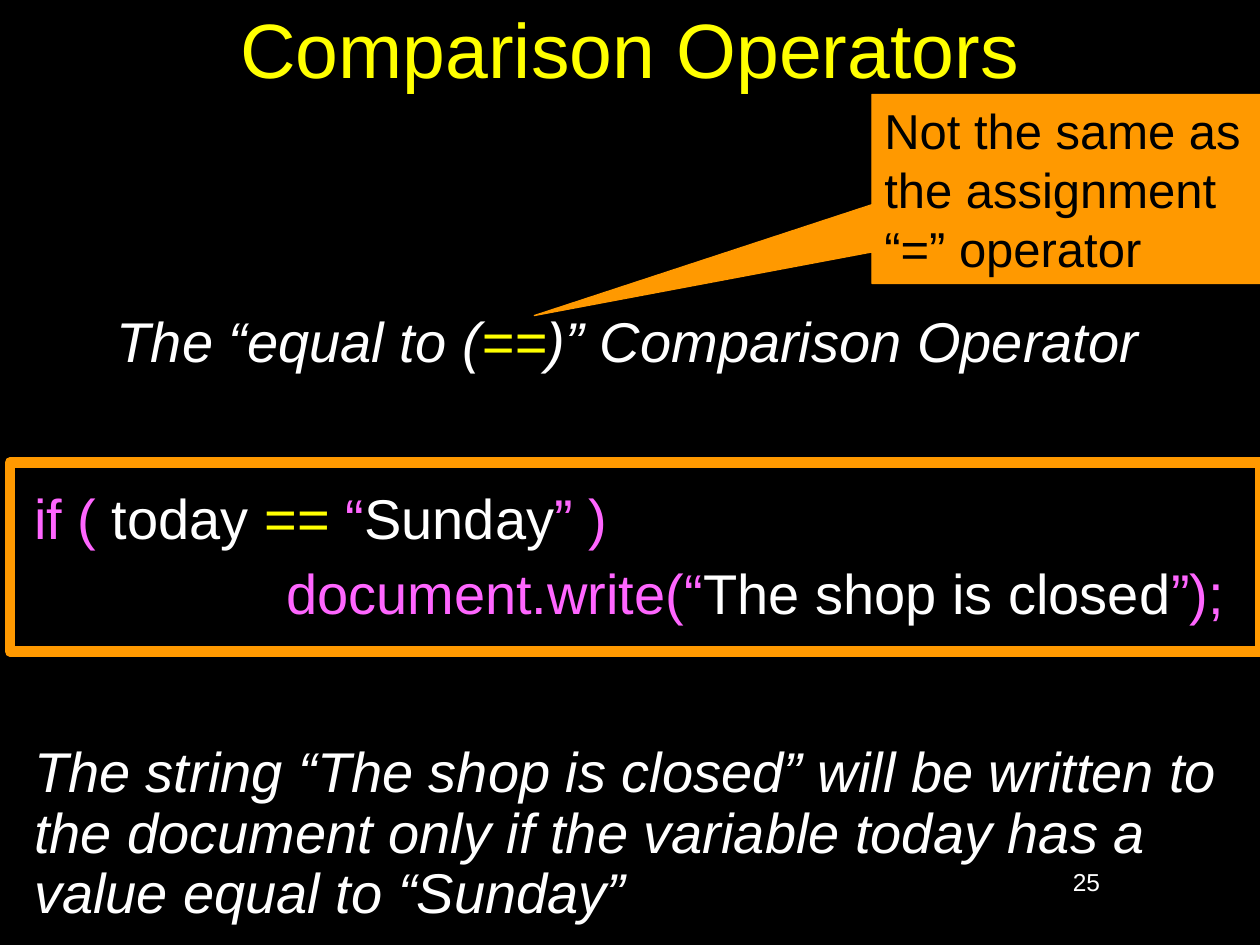
from pptx import Presentation
from pptx.dml.color import RGBColor
from pptx.enum.shapes import MSO_SHAPE
from pptx.enum.text import MSO_ANCHOR, MSO_AUTO_SIZE, PP_ALIGN
from pptx.util import Pt
from lxml import etree

EMU_PER_PX = 9144
FONT = "Arial"
LEFT, CENTER, RIGHT = PP_ALIGN.LEFT, PP_ALIGN.CENTER, PP_ALIGN.RIGHT
TOP, MIDDLE = MSO_ANCHOR.TOP, MSO_ANCHOR.MIDDLE
NO_AUTOFIT = MSO_AUTO_SIZE.NONE
RECTANGLE = MSO_SHAPE.RECTANGLE
CALLOUT = MSO_SHAPE.RECTANGULAR_CALLOUT
DRAWING = "{http://schemas.openxmlformats.org/drawingml/2006/main}"
COLORS = {
    "background": "000000",
    "text": "FFFFFF",
    "highlight": "FFFF00",
    "keyword": "FF66FF",
    "accent": "FF9900",
    "callout_text": "000000",
}


def px(value):
    return value * EMU_PER_PX


def color(name):
    return RGBColor.from_string(COLORS[name])


def place(shape, box):
    shape.left, shape.top, shape.width, shape.height = map(px, box)


def prepare_frame(shape, anchor=TOP):
    frame = shape.text_frame
    frame.word_wrap = True
    frame.auto_size = NO_AUTOFIT
    frame.vertical_anchor = anchor
    frame.margin_left = frame.margin_right = px(10)
    frame.margin_top = frame.margin_bottom = px(5)
    return frame


def add_runs(paragraph, runs, size, alignment=LEFT, italic=False):
    paragraph.alignment = alignment
    paragraph.space_before = paragraph.space_after = Pt(0)
    for text, color_name in runs:
        run = paragraph.add_run()
        run.text = text
        run.font.name = FONT
        run.font.size = Pt(size)
        run.font.italic = italic
        run.font.color.rgb = color(color_name)


def add_title(slide, box):
    title = slide.shapes.title
    place(title, box)
    frame = prepare_frame(title, MIDDLE)
    add_runs(frame.paragraphs[0], [("Comparison Operators", "highlight")], 44, CENTER)


def add_body(slide, box):
    body = slide.placeholders[1]
    place(body, box)
    frame = prepare_frame(body)
    lines = [
        (CENTER, True, 0, 0, [
            ("The “equal to (", "text"), ("==", "highlight"),
            (")” Comparison Operator ", "text")]),
        (LEFT, False, 67, 0, [
            ("if (", "keyword"), (" today", "text"), (" == ", "highlight"),
            ("“", "keyword"), ("Sunday", "text"), ("” )", "keyword")]),
        (LEFT, False, 8.2, 200, [
            ("document.write(“", "keyword"), ("The shop is closed", "text"),
            ("”);", "keyword")]),
        (LEFT, True, 67, 0, [
            ("The string “The shop is closed” will be written to the document "
             "only if the variable today has a value equal to “Sunday”", "text")]),
    ]
    for index, (alignment, italic, gap, indent, runs) in enumerate(lines):
        paragraph = frame.add_paragraph() if index else frame.paragraphs[0]
        properties = paragraph._p.get_or_add_pPr()
        properties.set("marL", str(px(indent)))
        properties.set("indent", "0")
        etree.SubElement(properties, DRAWING + "buNone")
        add_runs(paragraph, runs, 32, alignment, italic)
        paragraph.line_spacing = 0.9
        paragraph.space_before = Pt(gap)


def add_code_frame(slide, box):
    frame = slide.shapes.add_shape(RECTANGLE, *map(px, box))
    frame.shadow.inherit = False
    frame.fill.background()
    frame.line.color.rgb = color("accent")
    frame.line.width = Pt(6)


def add_callout(slide, box):
    callout = slide.shapes.add_shape(CALLOUT, *map(px, box))
    callout.shadow.inherit = False
    callout.adjustments[0] = -1.37
    callout.adjustments[1] = 0.67
    callout.fill.solid()
    callout.fill.fore_color.rgb = color("accent")
    callout.line.color.rgb = color("accent")
    callout.line.width = Pt(0.75)
    frame = prepare_frame(callout)
    text = "Not the same as the assignment “=” operator"
    add_runs(frame.paragraphs[0], [(text, "callout_text")], 28)


def add_page_number(slide, box):
    number = slide.shapes.add_textbox(*map(px, box))
    frame = prepare_frame(number)
    add_runs(frame.paragraphs[0], [("25", "text")], 14, RIGHT)


def main():
    presentation = Presentation()
    presentation.slide_width, presentation.slide_height = px(1000), px(750)
    slide = presentation.slides.add_slide(presentation.slide_layouts[1])
    slide.background.fill.solid()
    slide.background.fill.fore_color.rgb = color("background")
    add_title(slide, (75, -25, 850, 125))
    add_body(slide, (17, 244, 975, 506))
    add_code_frame(slide, (8, 367, 992, 150))
    add_callout(slide, (692, 75, 308, 150))
    add_page_number(slide, (675, 683, 208, 50))
    presentation.save("out.pptx")


if __name__ == "__main__":
    main()
